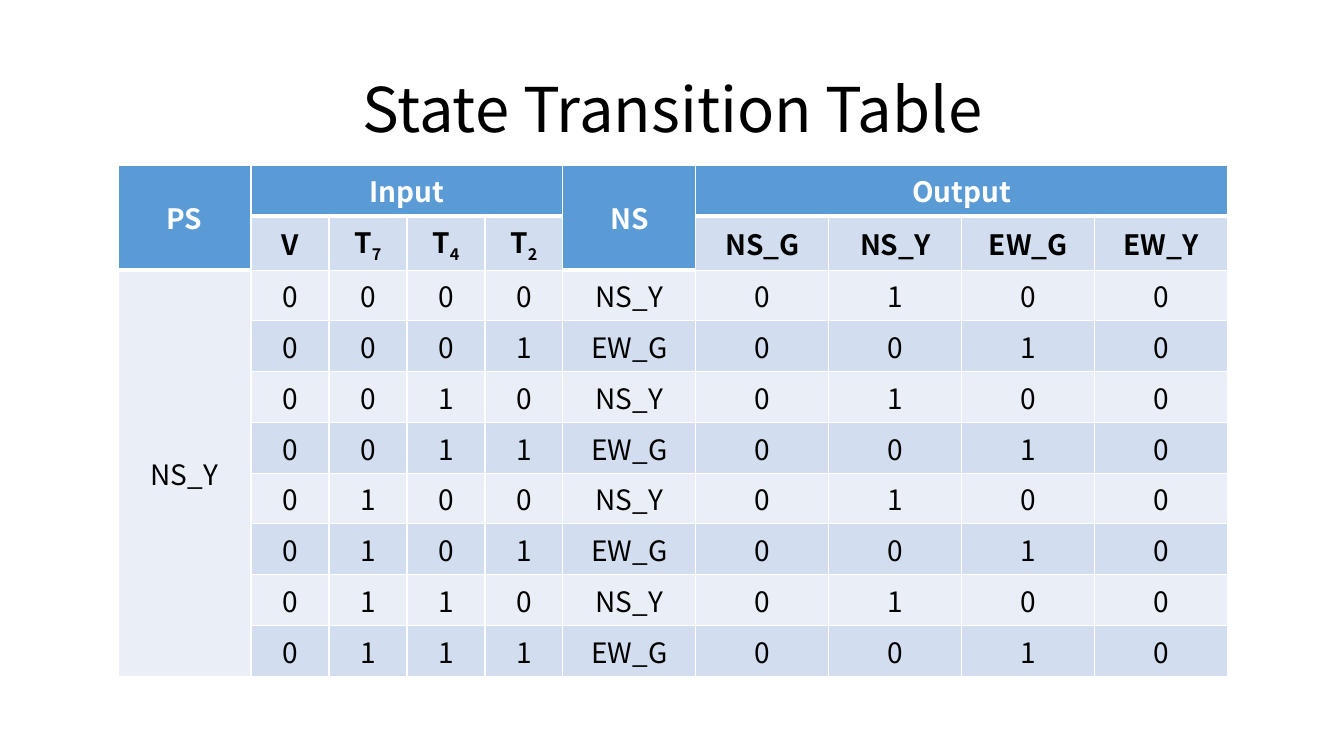
import itertools

import lxml.etree
import pptx
import pptx.dml.color
import pptx.enum.text
import pptx.oxml.ns
import pptx.util

PX = 914400 / 100.8
FONT = "Noto Sans CJK KR"
COLORS = {
    "text": "000000",
    "header_text": "FFFFFF",
    "header": "5B9BD5",
    "band_dark": "D2DEEF",
    "band_light": "EAEFF7",
    "border": "FFFFFF",
}
STATES = ["NS_G", "NS_Y", "EW_G", "EW_Y"]
INPUTS = [("V", ""), ("T", "7"), ("T", "4"), ("T", "2")]
COLUMN_WIDTHS = [133] + [78] * 4 + [133] * 5
STATE_COLUMNS = (0, 5)
HEADER_SPANS = [
    ("PS", 0, (1, 0)),
    ("Input", 1, (0, 4)),
    ("NS", 5, (1, 5)),
    ("Output", 6, (0, 9)),
]
ROW_COUNT = 10


def px(length):
    return pptx.util.Emu(round(length * PX))


def rgb(name):
    return pptx.dml.color.RGBColor.from_string(COLORS[name])


def write_text(frame, text, size=20, color="text", bold=False, subscript="", line_spacing=None):
    paragraph = frame.paragraphs[0]
    paragraph.alignment = pptx.enum.text.PP_ALIGN.CENTER
    paragraph.line_spacing = line_spacing
    for part in filter(None, (text, subscript)):
        run = paragraph.add_run()
        run.text = part
        run.font.name = FONT
        run.font.size = pptx.util.Pt(size)
        run.font.bold = bold
        run.font.color.rgb = rgb(color)
    if subscript:
        run.font._element.set("baseline", "-25000")


def set_borders(cell, top, bottom):
    properties = cell._tc.get_or_add_tcPr()
    for edge, points in (("L", 1), ("R", 1), ("T", top), ("B", bottom)):
        line = lxml.etree.SubElement(properties, pptx.oxml.ns.qn(f"a:ln{edge}"), w=str(pptx.util.Pt(points)))
        fill = lxml.etree.SubElement(line, pptx.oxml.ns.qn("a:solidFill"))
        lxml.etree.SubElement(fill, pptx.oxml.ns.qn("a:srgbClr"), val=COLORS["border"])


def style_cell(cell, row, column):
    header_rows = 2 if column in STATE_COLUMNS else 1
    set_borders(cell, 3 if row == header_rows else 1, 3 if row < header_rows else 1)
    if row < header_rows:
        fill = "header"
    elif row % 2 == 0 or column == 0:
        fill = "band_light"
    else:
        fill = "band_dark"
    cell.fill.solid()
    cell.fill.fore_color.rgb = rgb(fill)
    cell.vertical_anchor = pptx.enum.text.MSO_ANCHOR.MIDDLE


def add_title(slide, left, top, width, height):
    title = slide.shapes.title
    title.left, title.top, title.width, title.height = map(px, (left, top, width, height))
    title.text_frame.vertical_anchor = pptx.enum.text.MSO_ANCHOR.MIDDLE
    write_text(title.text_frame, "State Transition Table", size=44, line_spacing=0.9)


def add_transition_table(slide, left, top, width, height):
    frame = slide.shapes.add_table(ROW_COUNT, len(COLUMN_WIDTHS), *map(px, (left, top, width, height)))
    table = frame.table
    table.first_row = False
    table.horz_banding = False
    for column, share in zip(table.columns, COLUMN_WIDTHS):
        column.width = px(width * share / sum(COLUMN_WIDTHS))
    for row in table.rows:
        row.height = px(height / ROW_COUNT)
    for row, column in itertools.product(range(ROW_COUNT), range(len(COLUMN_WIDTHS))):
        style_cell(table.cell(row, column), row, column)

    for label, column, end in HEADER_SPANS:
        cell = table.cell(0, column)
        cell.merge(table.cell(*end))
        write_text(cell.text_frame, label, color="header_text", bold=True)
    for column, (label, subscript) in enumerate(INPUTS, 1):
        write_text(table.cell(1, column).text_frame, label, bold=True, subscript=subscript)
    for column, state in enumerate(STATES, 6):
        write_text(table.cell(1, column).text_frame, state, bold=True)

    present_state = table.cell(2, 0)
    present_state.merge(table.cell(ROW_COUNT - 1, 0))
    write_text(present_state.text_frame, "NS_Y")
    for row, timers in enumerate(itertools.product((0, 1), repeat=3), 2):
        next_state = "EW_G" if timers[-1] else "NS_Y"
        outputs = [int(state == next_state) for state in STATES]
        for column, value in enumerate([0, *timers, next_state, *outputs], 1):
            write_text(table.cell(row, column).text_frame, str(value))


def main():
    presentation = pptx.Presentation()
    presentation.slide_width = px(1344)
    presentation.slide_height = px(756)
    slide = presentation.slides.add_slide(presentation.slide_layouts[5])
    add_title(slide, 93, 40, 1159, 146)
    add_transition_table(slide, 118, 165, 1110, 490)
    presentation.save("out.pptx")


if __name__ == "__main__":
    main()
